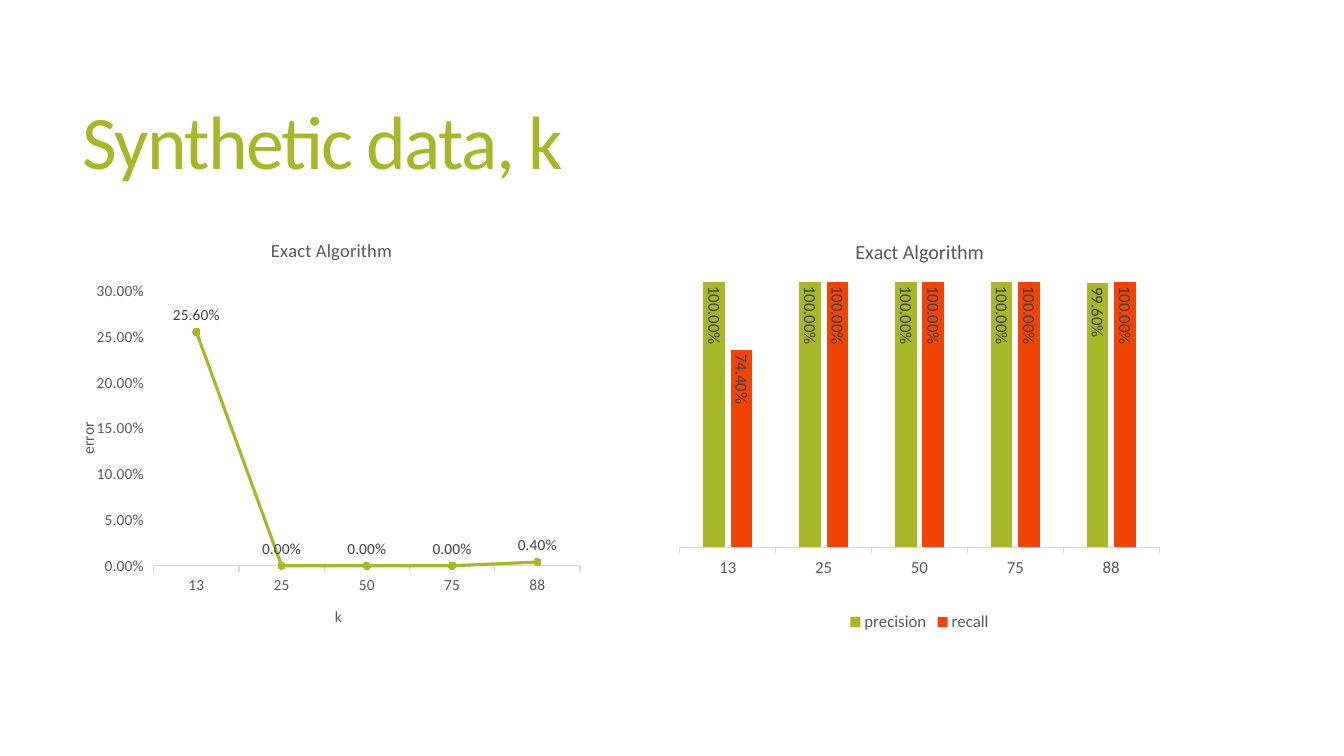
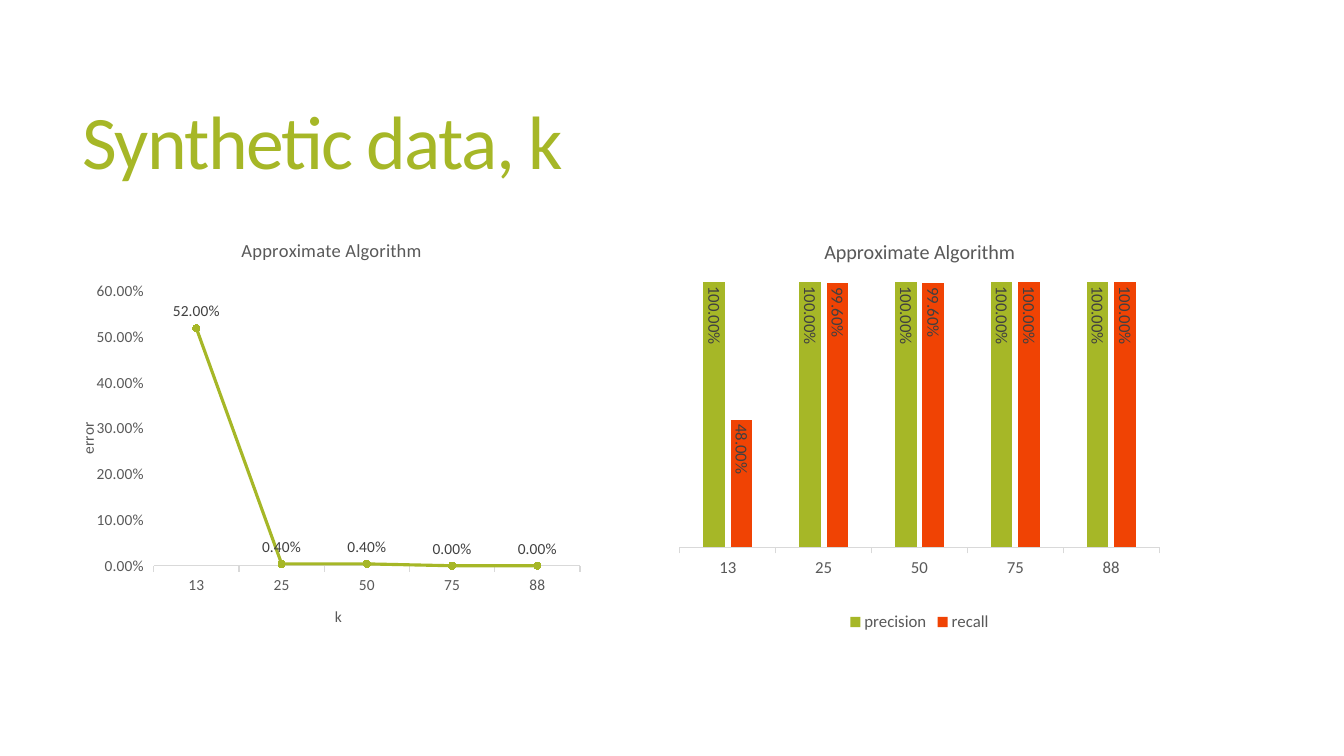
"""Builds two slides comparing exact and approximate algorithms on synthetic data."""
from pptx import Presentation
from pptx.chart.data import CategoryChartData
from pptx.dml.color import RGBColor
from pptx.enum.chart import XL_CHART_TYPE as CT, XL_LABEL_POSITION as LP
from pptx.enum.chart import XL_LEGEND_POSITION, XL_MARKER_STYLE, XL_TICK_MARK
from pptx.enum.text import MSO_ANCHOR
from pptx.oxml import parse_xml
from pptx.oxml.ns import nsdecls
from pptx.util import Inches, Pt

C = {"green": "A6B727", "orange": "F04304", "axis": "D9D9D9",
     "text": "595959", "label": "404040"}
FONT = "Calibri"
PERCENT = "0.00%"
CATEGORIES = ["13", "25", "50", "75", "88"]
SLIDES = [
    ("Exact Algorithm", [0.256, 0, 0, 0, 0.004],
     [1, 1, 1, 1, 0.996], [0.744, 1, 1, 1, 1]),
    ("Approximate Algorithm", [0.52, 0.004, 0.004, 0, 0],
     [1, 1, 1, 1, 1], [0.48, 0.996, 0.996, 1, 1]),
]


def style(font, size, color):
    font.name, font.size, font.bold = FONT, Pt(size), False
    font.color.rgb = RGBColor.from_string(C[color])


def add_chart(s, kind, left, size, title, series, layout, label_pos):
    data = CategoryChartData(number_format=PERCENT)
    data.categories = CATEGORIES
    for name, values in series:
        data.add_series(name, values)
    chart = s.shapes.add_chart(kind, Inches(left), Inches(2.19),
                               Inches(5.1), Inches(4.12), data).chart
    style(chart.font, size, "text")
    chart.has_legend = False
    chart.has_title = True
    chart.chart_title.include_in_layout = False
    tf = chart.chart_title.text_frame
    tf.text = title
    style(tf.paragraphs[0].font, size * 1.2, "text")

    for axis in (chart.category_axis, chart.value_axis):
        axis.has_major_gridlines = False
        axis.major_tick_mark = XL_TICK_MARK.OUTSIDE
        axis.minor_tick_mark = XL_TICK_MARK.NONE
        style(axis.tick_labels.font, size, "text")
    line = chart.category_axis.format.line
    line.color.rgb = RGBColor.from_string(C["axis"])
    line.width = Pt(0.75)
    chart.value_axis.format.line.fill.background()
    chart.value_axis.minimum_scale = 0
    chart.value_axis.tick_labels.number_format = PERCENT
    chart.value_axis.tick_labels.number_format_is_linked = False

    chart.plots[0].vary_by_categories = False
    for ser in chart.series:
        labels = ser.data_labels
        labels.show_value = True
        labels.position = label_pos
        labels.number_format = PERCENT
        labels.number_format_is_linked = False
        style(labels.font, size, "label")

    area = chart._chartSpace.xpath("c:chart/c:plotArea")[0]
    for old in area.xpath("c:layout"):
        area.remove(old)
    bounds = "".join(f'<c:{key} val="{value}"/>' for key, value in zip("xywh", layout))
    area.insert(0, parse_xml(
        f'<c:layout {nsdecls("c")}><c:manualLayout><c:layoutTarget val="inner"/>'
        f'<c:xMode val="edge"/><c:yMode val="edge"/>{bounds}'
        '</c:manualLayout></c:layout>'))
    return chart


prs = Presentation()
prs.slide_width, prs.slide_height = Inches(13.33), Inches(7.5)

for algorithm, error, precision, recall in SLIDES:
    s = prs.slides.add_slide(prs.slide_layouts[6])
    tf = s.shapes.add_textbox(Inches(0.72), Inches(0.55),
                              Inches(11.78), Inches(1.81)).text_frame
    tf.word_wrap = True
    tf.vertical_anchor = MSO_ANCHOR.MIDDLE
    p = tf.paragraphs[0]
    p.line_spacing = 0.85
    style(p.font, 54, "green")
    r = p.add_run()
    r.text = "Synthetic data, k"
    r._r.get_or_add_rPr().set("spc", "-120")

    chart = add_chart(s, CT.LINE_MARKERS, 0.74, 11, algorithm, [("Series 1", error)],
                      (0.154, 0.171, 0.829, 0.66), LP.ABOVE)
    for axis, name, turn in ((chart.category_axis, "k", "0"),
                             (chart.value_axis, "error", "-5400000")):
        tf = axis.axis_title.text_frame
        tf.text = name
        style(tf.paragraphs[0].font, 11, "text")
        tf._txBody.bodyPr.set("rot", turn)
    ser = chart.series[0]
    ser.smooth = False
    ser.format.line.color.rgb = RGBColor.from_string(C["green"])
    ser.format.line.width = Pt(2.25)
    ser.marker.style = XL_MARKER_STYLE.CIRCLE
    ser.marker.size = 5
    ser.marker.format.fill.solid()
    ser.marker.format.fill.fore_color.rgb = RGBColor.from_string(C["green"])
    ser.marker.format.line.color.rgb = RGBColor.from_string(C["green"])

    chart = add_chart(s, CT.COLUMN_CLUSTERED, 6.57, 12, algorithm,
                      [("precision", precision), ("recall", recall)],
                      (0.034, 0.148, 0.932, 0.639), LP.INSIDE_END)
    chart.value_axis.maximum_scale = 1
    chart.value_axis.visible = False
    chart.plots[0].gap_width = 219
    chart.plots[0].overlap = -27
    chart.has_legend = True
    chart.legend.position = XL_LEGEND_POSITION.BOTTOM
    chart.legend.include_in_layout = False
    style(chart.legend.font, 12, "text")
    for ser, color in zip(chart.series, ("green", "orange")):
        ser.format.fill.solid()
        ser.format.fill.fore_color.rgb = RGBColor.from_string(C[color])
        body = ser._element.xpath("c:dLbls/c:txPr/a:bodyPr")[0]
        body.set("rot", "5400000")
        body.set("vert", "horz")

prs.save("out.pptx")
